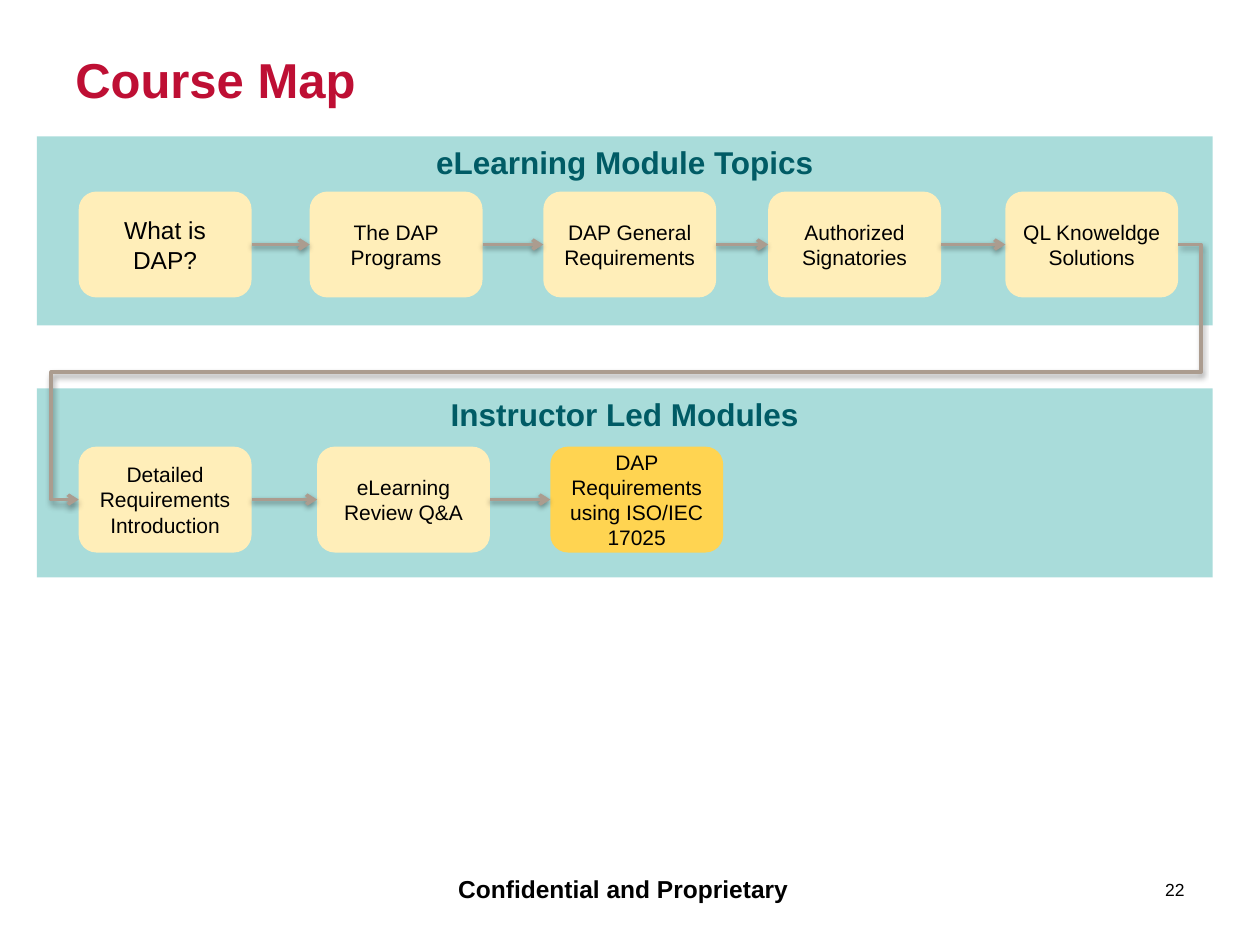
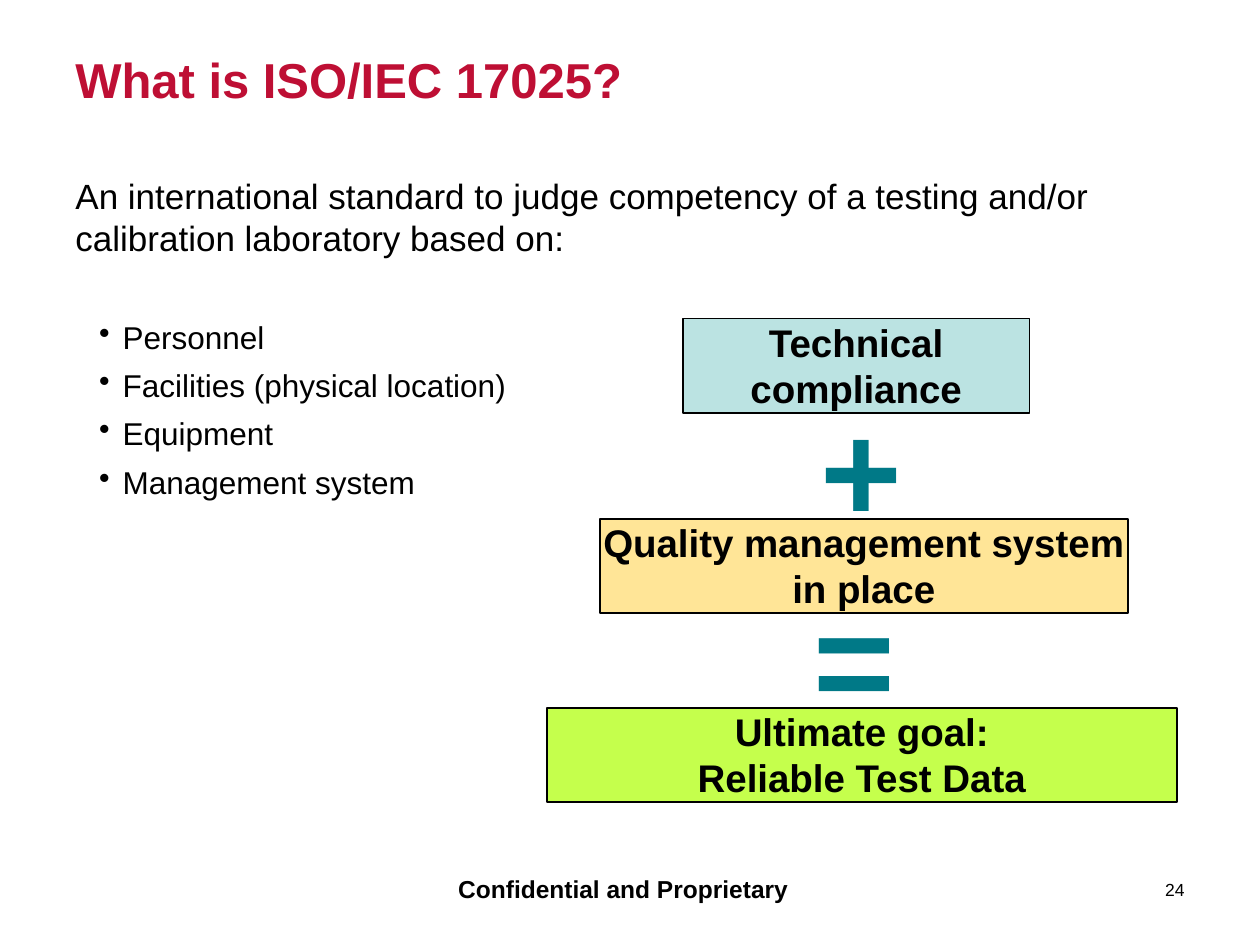
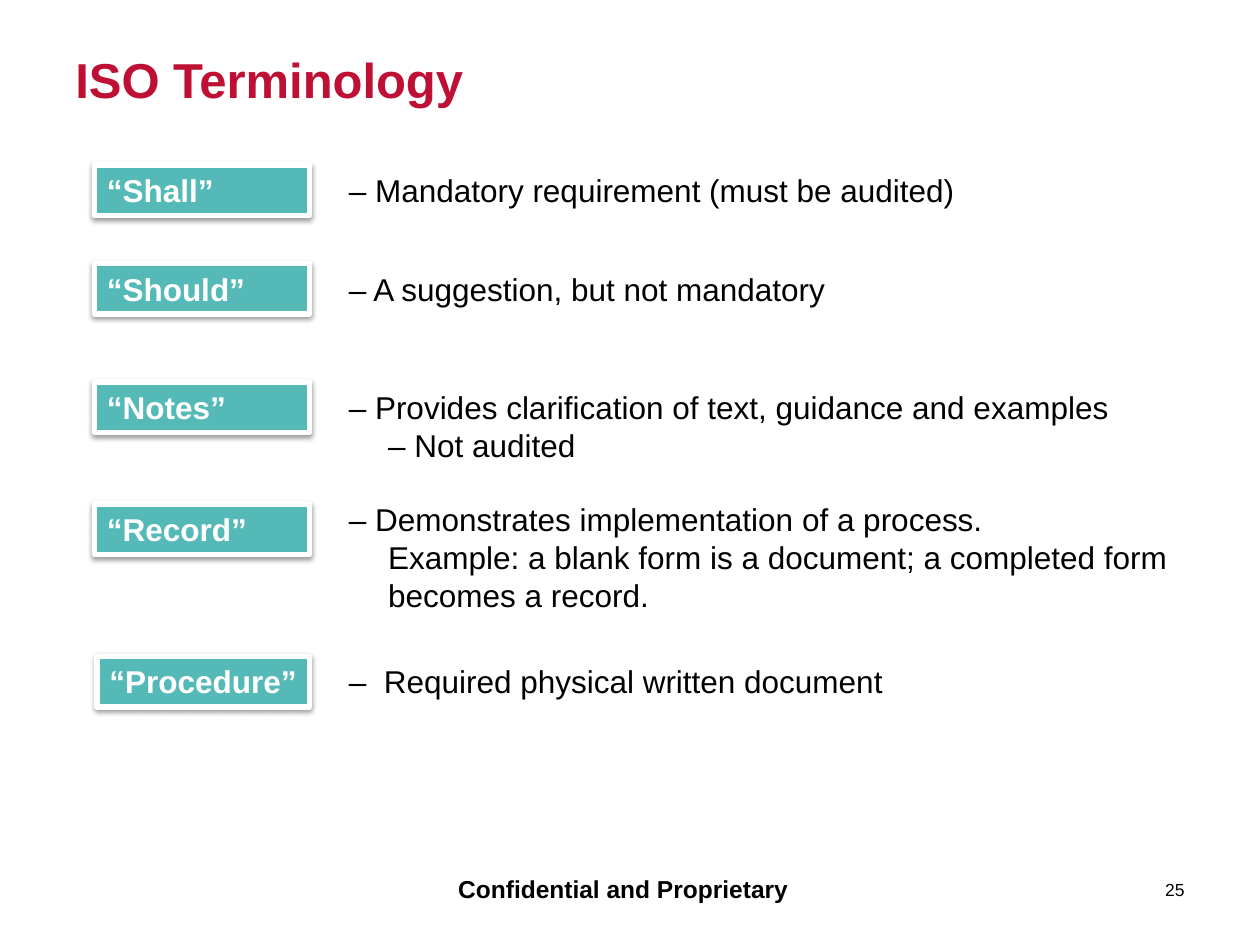
from dataclasses import dataclass
from itertools import pairwise
from typing import NamedTuple

from lxml import etree
from pptx import Presentation
from pptx.dml.color import RGBColor
from pptx.enum.shapes import MSO_CONNECTOR, MSO_SHAPE
from pptx.enum.text import MSO_ANCHOR, PP_ALIGN
from pptx.oxml.ns import qn
from pptx.util import Pt

LEFT, CENTER, RIGHT = PP_ALIGN.LEFT, PP_ALIGN.CENTER, PP_ALIGN.RIGHT
TOP, MIDDLE = MSO_ANCHOR.TOP, MSO_ANCHOR.MIDDLE
RECTANGLE, ROUNDED = MSO_SHAPE.RECTANGLE, MSO_SHAPE.ROUNDED_RECTANGLE
STRAIGHT, ELBOW = MSO_CONNECTOR.STRAIGHT, MSO_CONNECTOR.ELBOW
LEFT_SIDE, RIGHT_SIDE = 1, 3


@dataclass(frozen=True)
class Theme:
    """Colours and type sizes of the presentation."""
    font: str = "Arial"
    title: str = "BE0F34"
    ink: str = "000000"
    white: str = "FFFFFF"
    teal: str = "55BAB7"
    heading: str = "005B65"
    symbol: str = "007987"
    step: str = "FFEEB9"
    current_step: str = "FFD451"
    arrow: str = "AB9C8F"
    technical: str = "BBE3E2"
    quality: str = "FFE597"
    goal: str = "C5FF4C"
    title_size: int = 28
    symbol_size: int = 80
    block_size: int = 22
    lead_size: int = 20
    body_size: int = 18
    label_size: int = 14
    step_size: int = 12
    number_size: int = 10


THEME = Theme()


class Box(NamedTuple):
    """Rectangle in points."""
    left: float
    top: float
    width: float
    height: float

    def inner(self, left, top, width, height):
        """Return a box whose position is relative to this one."""
        return Box(self.left + left, self.top + top, width, height)

    def lengths(self):
        """Return the four values as lengths."""
        return [Pt(value) for value in self]


@dataclass(frozen=True)
class Line:
    """Paragraph with its own layout."""
    text: str
    size: int = THEME.body_size
    margin: float = 0
    indent: float = 0
    before: float = 0
    bullet: str = ""


PAGE = Box(0, 0, 720, 540)


def set_values(target, values):
    """Set attributes from a dict of format values."""
    for name, value in values.items():
        setattr(target, name, value)


def add_child(parent, tag, **attributes):
    """Append an XML element with attributes."""
    child = etree.SubElement(parent, qn(tag))
    for name, value in attributes.items():
        child.set(name, str(value))
    return child


def add_shadow(effects):
    """Put a soft downward shadow in an effect list."""
    shadow = add_child(effects, "a:outerShdw", blurRad=Pt(3.1), dist=Pt(1.6),
                       dir=5400000, rotWithShape=0)
    color = add_child(shadow, "a:srgbClr", val=THEME.ink)
    add_child(color, "a:alpha", val=38000)


def write_text(shape, lines, color=THEME.ink, bold=False, align=LEFT,
               anchor=TOP, inset=None, wrap=True):
    """Write the lines into a shape."""
    frame = shape.text_frame
    set_values(frame, {"word_wrap": wrap, "vertical_anchor": anchor})
    if inset is not None:
        sides = ("left", "top", "right", "bottom")
        set_values(frame, {f"margin_{side}": Pt(inset) for side in sides})
    for index, line in enumerate(lines):
        paragraph = frame.add_paragraph() if index else frame.paragraphs[0]
        properties = paragraph._p.get_or_add_pPr()
        properties.set("marL", str(Pt(line.margin)))
        properties.set("indent", str(Pt(line.indent)))
        if line.bullet:
            add_child(properties, "a:buChar", char=line.bullet)
        set_values(paragraph, {"alignment": align, "space_before": Pt(line.before)})
        run = paragraph.add_run()
        run.text = line.text
        set_values(run.font, {"name": THEME.font, "size": Pt(line.size), "bold": bold})
        run.font.color.rgb = RGBColor.from_string(color)


def add_text(slide, box, lines, **style):
    """Add a text box."""
    shape = slide.shapes.add_textbox(*box.lengths())
    write_text(shape, lines, **style)


def add_block(slide, box, fill, lines, kind=RECTANGLE, outline=None,
              outline_width=1, shadow=False, alpha=None, **style):
    """Add a filled shape with text."""
    shape = slide.shapes.add_shape(kind, *box.lengths())
    shape.fill.solid()
    shape.fill.fore_color.rgb = RGBColor.from_string(fill)
    if alpha is not None:
        color = shape._element.spPr.find(qn("a:solidFill"))[0]
        add_child(color, "a:alpha", val=alpha * 1000)
    if outline:
        shape.line.color.rgb = RGBColor.from_string(outline)
        shape.line.width = Pt(outline_width)
    else:
        shape.line.fill.background()
    shape.shadow.inherit = False
    if shadow:
        add_shadow(shape._element.spPr.find(qn("a:effectLst")))
    write_text(shape, lines, **style)
    return shape


def add_arrow(slide, start, end, kind=STRAIGHT):
    """Join the right side of one step to the left side of another."""
    connector = slide.shapes.add_connector(kind, 0, 0, 0, 0)
    connector.begin_connect(start, RIGHT_SIDE)
    connector.end_connect(end, LEFT_SIDE)
    connector.line.color.rgb = RGBColor.from_string(THEME.arrow)
    connector.line.width = Pt(2)
    properties = connector._element.spPr
    add_child(properties.find(qn("a:ln")), "a:tailEnd", type="arrow")
    add_shadow(add_child(properties, "a:effectLst"))
    return connector


def add_return_arrow(slide, start, end):
    """Lead from the end of one row round to the start of the next."""
    connector = add_arrow(slide, start, end, ELBOW)
    geometry = connector._element.spPr.find(qn("a:prstGeom"))
    geometry.set("prst", "bentConnector5")
    guides = geometry.find(qn("a:avLst"))
    for number, value in enumerate((-2050, 50000, 102500), 1):
        add_child(guides, "a:gd", name=f"adj{number}", fmla=f"val {value}")


def add_page(presentation, title, number):
    """Add a slide with title, footer and page number."""
    slide = presentation.slides.add_slide(presentation.slide_layouts[6])
    add_text(slide, PAGE.inner(36, 21.5, 648, 47.5), [Line(title, THEME.title_size)],
             color=THEME.title, bold=True, anchor=MIDDLE)
    add_text(slide, PAGE.inner(254.75, 496, 204, 24.5),
             [Line("Confidential and Proprietary", THEME.label_size)],
             bold=True, wrap=False)
    add_text(slide, PAGE.inner(633.5, 494, 50.5, 29),
             [Line(str(number), THEME.number_size)], align=RIGHT, anchor=MIDDLE)
    return slide


def add_module_band(slide, box, heading, step_top, steps):
    """Draw a titled band with a row of joined steps."""
    add_block(slide, box, THEME.teal, [Line(heading)], alpha=50,
              color=THEME.heading, bold=True, align=CENTER)
    shapes = [
        add_block(slide, box.inner(left, step_top, 98.75, 60.5), fill,
                  [Line(text, size)], kind=ROUNDED, align=CENTER, anchor=MIDDLE)
        for left, text, size, fill in steps
    ]
    for start, end in pairwise(shapes):
        add_arrow(slide, start, end)
    return shapes


def build_course_map(presentation):
    """Build the course map slide."""
    slide = add_page(presentation, "Course Map", 22)
    small, plain = THEME.step_size, THEME.step
    online = add_module_band(slide, PAGE.inner(21, 78, 672, 108), "eLearning Module Topics", 31.5, [
        (24, "What is DAP?", THEME.label_size, plain),
        (156, "The DAP Programs", small, plain),
        (289.5, "DAP General Requirements", small, plain),
        (418, "Authorized Signatories", small, plain),
        (553.5, "QL Knoweldge Solutions", small, plain),
    ])
    taught = add_module_band(slide, PAGE.inner(21, 222, 672, 108), "Instructor Led Modules", 33.25, [
        (24, "Detailed Requirements Introduction", small, plain),
        (160.25, "eLearning Review Q&A", small, plain),
        (293.5, "DAP Requirements using ISO/IEC 17025", small, THEME.current_step),
    ])
    add_return_arrow(slide, online[-1], taught[0])


def add_equation(slide, box):
    """Draw the blocks that add up to the goal."""
    blocks = [
        (77.75, 0, 198, THEME.technical, ["Technical compliance"]),
        (30.25, 114.5, 301.75, THEME.quality, ["Quality management system in place"]),
        (0, 222.5, 360, THEME.goal, ["Ultimate goal:", "Reliable Test Data"]),
    ]
    for left, top, width, fill, texts in blocks:
        add_block(slide, box.inner(left, top, width, 54), fill,
                  [Line(text, THEME.block_size) for text in texts],
                  outline=THEME.ink, bold=True, align=CENTER, inset=0)
    for left, top, symbol in ((156.25, 36.75, "+"), (152.5, 144.75, "=")):
        add_text(slide, box.inner(left, top, 48, 95.75),
                 [Line(symbol, THEME.symbol_size)],
                 color=THEME.symbol, bold=True, inset=0)


def build_standard(presentation):
    """Build the slide on the standard."""
    slide = add_page(presentation, "What is ISO/IEC 17025?", 24)
    lead = Line("An international standard to judge competency of a testing and/or "
                "calibration laboratory based on:", THEME.lead_size)
    factors = ["Personnel", "Facilities (physical location)", "Equipment",
               "Management system"]
    bullets = [Line(text, margin=27, indent=-13.5, before=6 if index else 34, bullet="•")
               for index, text in enumerate(factors)]
    add_text(slide, PAGE.inner(36, 96, 643.5, 386.5), [lead, *bullets])
    add_equation(slide, PAGE.inner(312.5, 182, 360, 276.5))


def add_term(slide, box, term, lines, rise=0, shift=0):
    """Place a term label with its meaning beside it."""
    add_block(slide, box.inner(shift, 0, 123 - shift, 29), THEME.teal,
              [Line(f"“{term}”")], outline=THEME.white, outline_width=3,
              shadow=True, color=THEME.white, bold=True)
    add_text(slide, box.inner(138.25, -rise, 484.5, box.height), lines)


def build_terminology(presentation):
    """Build the slide of terms."""
    slide = add_page(presentation, "ISO Terminology", 25)
    hang = 22.5
    terms = [
        (94.25, 29, "Shall", [Line("– Mandatory requirement (must be audited)")], {}),
        (150.5, 29, "Should", [Line("– A suggestion, but not mandatory")], {}),
        (218.25, 51, "Notes", [
            Line("– Provides clarification of text, guidance and examples",
                 margin=hang, indent=-hang),
            Line("– Not audited", margin=hang)], {}),
        (288, 94.25, "Record", [
            Line("– Demonstrates implementation of a process.", margin=hang, indent=-hang),
            Line("Example: a blank form is a document; a completed form becomes a record.",
                 margin=hang)], {"rise": 5.75}),
        (375, 29, "Procedure", [
            Line("–\tRequired physical written document", margin=20, indent=-20)],
         {"shift": 1.5}),
    ]
    for top, height, term, lines, offsets in terms:
        add_term(slide, PAGE.inner(54, top, 622.75, height), term, lines, **offsets)


def main():
    """Build and save the presentation."""
    presentation = Presentation()
    set_values(presentation, {"slide_width": Pt(PAGE.width), "slide_height": Pt(PAGE.height)})
    for build in (build_course_map, build_standard, build_terminology):
        build(presentation)
    presentation.save("out.pptx")


if __name__ == "__main__":
    main()
